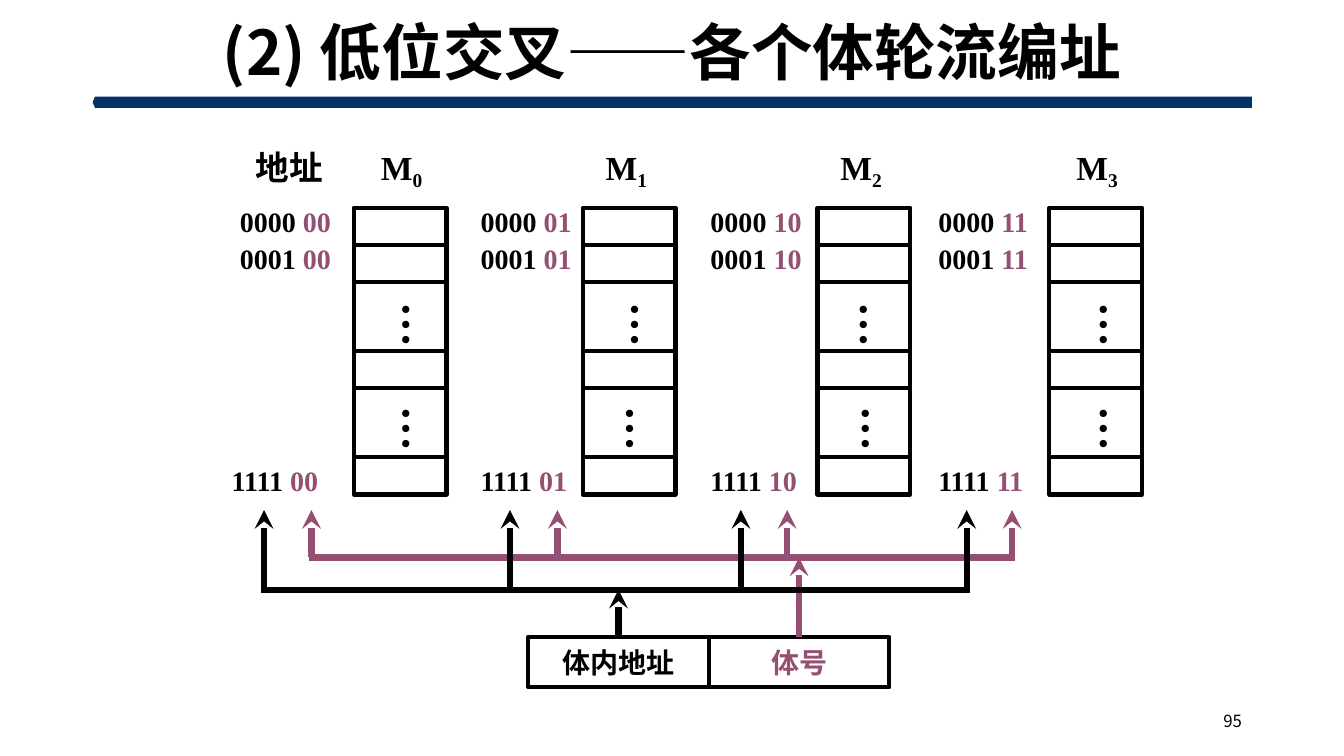
import pptx
import pptx.dml.color
import pptx.enum.shapes
import pptx.enum.text
import pptx.oxml.ns
import pptx.util
from lxml import etree

Pt = pptx.util.Pt
colour = pptx.dml.color.RGBColor.from_string
SHAPES = pptx.enum.shapes.MSO_SHAPE
ALIGN = pptx.enum.text.PP_ALIGN
MIDDLE = pptx.enum.text.MSO_ANCHOR.MIDDLE
BLACK, PURPLE, NAVY = "000000", "954F72", "003366"
SERIF, SANS = "Times New Roman", "Noto Sans CJK SC"

deck = pptx.Presentation()
deck.slide_width, deck.slide_height = Pt(960), Pt(540)
page = deck.slides.add_slide(deck.slide_layouts[5])


def add_text(left, top, width, height, spans, size):
    """Add a bold serif text box; spans holds (text, colour) pairs."""
    box = page.shapes.add_textbox(Pt(left), Pt(top), Pt(width), Pt(height))
    box.text_frame.word_wrap = False
    para = box.text_frame.paragraphs[0]
    para.font.name, para.font.size, para.font.bold = SERIF, Pt(size), True
    for text, shade in spans:
        span = para.add_run()
        span.text = text
        span.font.color.rgb = colour(shade)
    return box


def add_line(x1, y1, x2, y2, shade, arrow=True):
    """Add a thick line, with an arrowhead at its end if wanted."""
    line = page.shapes.add_connector(
        pptx.enum.shapes.MSO_CONNECTOR.STRAIGHT, Pt(x1), Pt(y1), Pt(x2), Pt(y2))
    line.line.color.rgb = colour(shade)
    line.line.width = Pt(4.5)
    if arrow:
        etree.SubElement(line.line._get_or_add_ln(),
                         pptx.oxml.ns.qn("a:tailEnd"), type="stealth")
    etree.SubElement(line._element.spPr, pptx.oxml.ns.qn("a:effectLst"))
    return line


# Title and the bar below it
bar = page.shapes.add_shape(SHAPES.PENTAGON, Pt(66.2), Pt(69), Pt(828), Pt(8))
bar.adjustments[0] = 0.2
bar.rotation = 180
bar.shadow.inherit = False
bar.fill.solid()
bar.fill.fore_color.rgb = colour(NAVY)
bar.line.fill.background()

title = page.shapes.title
title.left, title.top, title.width, title.height = Pt(66.2), Pt(10), Pt(828), Pt(59)
title.text_frame.text = "(2) 低位交叉——各个体轮流编址"
title.text_frame.vertical_anchor = MIDDLE
para = title.text_frame.paragraphs[0]
para.alignment, para.line_spacing = ALIGN.CENTER, 0.9
para.font.name, para.font.size, para.font.bold = SANS, Pt(44), True
para.font.color.rgb = colour(BLACK)

# Memory banks: bank left, label left, upper and lower dots left, address left
banks = [(252.7, 265, 270.7, 270.7, 164.2), (416.2, 425.5, 434.2, 430.6, 336.2),
         (583.9, 593.3, 597.6, 599, 500.4), (749.5, 761.8, 769, 769, 663.1)]
cell_heights = [26.5, 26.5, 49.4, 26.5, 49.4, 26.5]
address_rows = [("0000 ", 142.6), ("0001 ", 168.8), ("1111 ", 327.6)]

add_text(175.7, 101.5, 62.6, 36, [("地址", BLACK)], 24)
for number, (bank_x, label_x, upper_x, lower_x, address_x) in enumerate(banks):
    label = add_text(label_x, 101.5, 45.4, 36, [("M", BLACK), (str(number), BLACK)], 24)
    label.text_frame.paragraphs[0].runs[1].font._element.set("baseline", "-20000")

    cell_y = 148.4
    for height in cell_heights:
        cell = page.shapes.add_shape(
            SHAPES.RECTANGLE, Pt(bank_x), Pt(cell_y), Pt(66.3), Pt(height))
        cell.shadow.inherit = False
        cell.fill.background()
        cell.line.color.rgb = colour(BLACK)
        cell.line.width = Pt(3)
        cell_y += height

    for dots_x, dots_y in [(upper_x, 208.8), (lower_x, 283)]:
        dots = add_text(dots_x, dots_y, 52.6, 39.6, [("…", BLACK)], 32)
        dots.text_frame._txBody.bodyPr.set("vert", "eaVert")

    for word, address_y in address_rows:
        shift = 5.8 if number == 0 and word == "1111 " else 0
        add_text(address_x - shift, address_y, 82.8, 31,
                 [(word, BLACK), (f"{number:02b}", PURPLE)], 20)

# Address word: address inside the bank, then bank number
fields = []
for position, (name, shade) in enumerate([("体内地址", BLACK), ("体号", PURPLE)]):
    field = page.shapes.add_shape(
        SHAPES.RECTANGLE, Pt(377.3 + 129 * position), Pt(455), Pt(129), Pt(36))
    field.shadow.inherit = False
    field.fill.background()
    field.line.color.rgb = colour(BLACK)
    field.line.width = Pt(3)
    field.text_frame.text = name
    field.text_frame.vertical_anchor = MIDDLE
    para = field.text_frame.paragraphs[0]
    para.alignment = ALIGN.CENTER
    para.font.name, para.font.size, para.font.bold = SERIF, Pt(20), True
    para.font.color.rgb = colour(shade)
    fields.append(field)

# Buses that carry each field up to all banks
buses = [(fields[1], 570.8, 398.2, PURPLE, [222.5, 398.2, 562.3, 722.9]),
         (fields[0], 441.8, 421.2, BLACK, [188.6, 364.3, 529.2, 690.5])]
for field, feed_x, bus_y, shade, arrow_xs in buses:
    add_line(arrow_xs[0] - 1.8, bus_y, arrow_xs[-1] + 2.4, bus_y, shade, arrow=False)
    for arrow_x in arrow_xs:
        add_line(arrow_x, bus_y, arrow_x, 364.3, shade)
    feed = add_line(feed_x, 455, feed_x, bus_y, shade)
    feed.begin_connect(field, 0)

# Page number
number_box = add_text(678.2, 500.4, 216, 28.8, [("95", BLACK)], 12)
number_box.text_frame.word_wrap = True
number_box.text_frame.vertical_anchor = MIDDLE
para = number_box.text_frame.paragraphs[0]
para.alignment = ALIGN.RIGHT
para.font.name, para.font.bold = SANS, False

deck.save("out.pptx")
